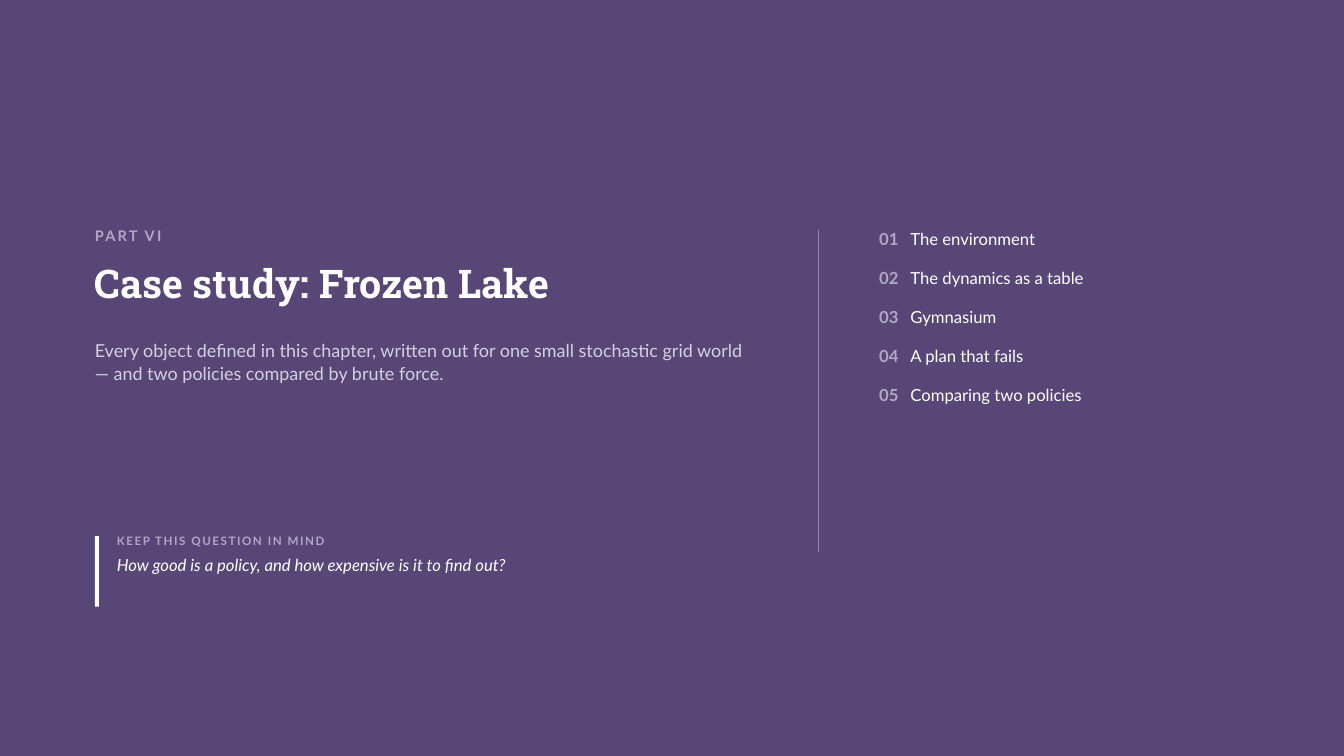
from dataclasses import dataclass

from lxml import etree
from pptx import Presentation
from pptx.dml.color import RGBColor
from pptx.enum.shapes import MSO_CONNECTOR, MSO_SHAPE
from pptx.enum.text import MSO_ANCHOR, MSO_AUTO_SIZE, PP_ALIGN
from pptx.oxml.ns import qn
from pptx.util import Inches, Pt

PURPLE = RGBColor(0x57, 0x46, 0x76)
WHITE = RGBColor(0xFF, 0xFF, 0xFF)
LILAC = RGBColor(0xB2, 0xA7, 0xC4)
PALE = RGBColor(0xD6, 0xD0, 0xE0)
RULE = RGBColor(0x94, 0x86, 0xAC)
BODY_FONT = "Lato"
TITLE_FONT = "Roboto Slab"

LEFT = PP_ALIGN.LEFT
TOP = MSO_ANCHOR.TOP
NO_AUTOFIT = MSO_AUTO_SIZE.NONE
RECTANGLE = MSO_SHAPE.RECTANGLE
STRAIGHT = MSO_CONNECTOR.STRAIGHT

MARGIN = 0.94
CONTENT_TOP = 2.28
QUESTION_TOP = 5.32
DIVIDER_X = 8.12
DIVIDER_HEIGHT = 3.2
AGENDA_LEFT = 8.72
NUMBER_WIDTH = 0.31


@dataclass(frozen=True)
class Box:
    left: float
    top: float
    width: float
    height: float


@dataclass(frozen=True)
class AgendaItem:
    number: int
    topic: str


AGENDA = [
    AgendaItem(number, topic)
    for number, topic in enumerate(
        [
            "The environment",
            "The dynamics as a table",
            "Gymnasium",
            "A plan that fails",
            "Comparing two policies",
        ],
        start=1,
    )
]


def place(shape, box: Box):
    """Position a text shape, clear its insets and return its text frame."""
    shape.left, shape.top = Inches(box.left), Inches(box.top)
    shape.width, shape.height = Inches(box.width), Inches(box.height)
    frame = shape.text_frame
    frame.margin_left = frame.margin_right = 0
    frame.margin_top = frame.margin_bottom = 0
    frame.word_wrap = True
    frame.auto_size = NO_AUTOFIT
    frame.vertical_anchor = TOP
    return frame


def add_text_frame(slide, box: Box):
    return place(slide.shapes.add_textbox(0, 0, 0, 0), box)


def next_paragraph(frame, line: float, before: float = 0, hanging: float = 0):
    """Use the empty first paragraph of a frame, or add another one."""
    first = frame.paragraphs[0]
    paragraph = frame.add_paragraph() if first.runs else first
    properties = paragraph._p.get_or_add_pPr()
    properties.set("marL", str(Inches(hanging)))
    properties.set("indent", str(-Inches(hanging)))
    etree.SubElement(properties, qn("a:buNone"))
    paragraph.alignment = LEFT
    paragraph.line_spacing = Pt(line)
    paragraph.space_before = Pt(before)
    return paragraph


def add_text(paragraph, text: str, *, size: float, color: RGBColor,
             font: str = BODY_FONT, bold: bool = False, italic: bool = False,
             tracking: float = 0) -> None:
    run = paragraph.add_run()
    run.text = text
    run.font.name = font
    run.font.size = Pt(size)
    run.font.bold = bold
    run.font.italic = italic
    run.font.color.rgb = color
    if tracking:
        run._r.get_or_add_rPr().set("spc", str(round(tracking * 100)))


def add_heading(slide) -> None:
    part = add_text_frame(slide, Box(MARGIN, CONTENT_TOP, 3, 0.26))
    add_text(next_paragraph(part, 10.4), "PART VI",
             size=10.4, color=LILAC, bold=True, tracking=1.6)

    title = place(slide.shapes.title, Box(MARGIN, 2.62, 6.9, 0.5))
    add_text(next_paragraph(title, 29.9), "Case study: Frozen Lake",
             size=28.2, color=WHITE, font=TITLE_FONT, bold=True)

    summary = add_text_frame(slide, Box(MARGIN, 3.36, 6.5, 0.5))
    add_text(next_paragraph(summary, 16.4),
             "Every object defined in this chapter, written out for one small "
             "stochastic grid world — and two policies compared by brute force.",
             size=12.8, color=PALE)


def add_question(slide) -> None:
    bar = slide.shapes.add_shape(RECTANGLE, Inches(MARGIN), Inches(QUESTION_TOP),
                                 Inches(0.04), Inches(0.7))
    bar.shadow.inherit = False
    bar.fill.solid()
    bar.fill.fore_color.rgb = WHITE
    bar.line.fill.background()

    question = add_text_frame(slide, Box(1.16, QUESTION_TOP, 6.3, 0.74))
    add_text(next_paragraph(question, 8.3), "KEEP THIS QUESTION IN MIND",
             size=8.3, color=LILAC, bold=True, tracking=1.1)
    add_text(next_paragraph(question, 14, before=5),
             "How good is a policy, and how expensive is it to find out?",
             size=11.9, color=WHITE, italic=True)


def add_divider(slide) -> None:
    divider = slide.shapes.add_connector(
        STRAIGHT, Inches(DIVIDER_X), Inches(CONTENT_TOP),
        Inches(DIVIDER_X), Inches(CONTENT_TOP + DIVIDER_HEIGHT))
    divider.line.color.rgb = RULE
    divider.line.width = Pt(1)
    etree.SubElement(divider._element.spPr, qn("a:effectLst"))


def add_agenda(slide) -> None:
    frame = place(slide.placeholders[1],
                  Box(AGENDA_LEFT, CONTENT_TOP, 3.7, DIVIDER_HEIGHT))
    for item in AGENDA:
        before = 0 if item is AGENDA[0] else 14
        paragraph = next_paragraph(frame, 13.8, before, hanging=NUMBER_WIDTH)
        add_text(paragraph, f"{item.number:02d}\t", size=11.9, color=LILAC, bold=True)
        add_text(paragraph, item.topic, size=11.9, color=WHITE)


def main() -> None:
    presentation = Presentation()
    presentation.slide_width = Inches(13.33)
    presentation.slide_height = Inches(7.5)
    slide = presentation.slides.add_slide(presentation.slide_layouts[1])

    # Background
    slide.background.fill.solid()
    slide.background.fill.fore_color.rgb = PURPLE

    # Left column
    add_heading(slide)
    add_question(slide)

    # Right column
    add_divider(slide)
    add_agenda(slide)

    presentation.save("out.pptx")


if __name__ == "__main__":
    main()
